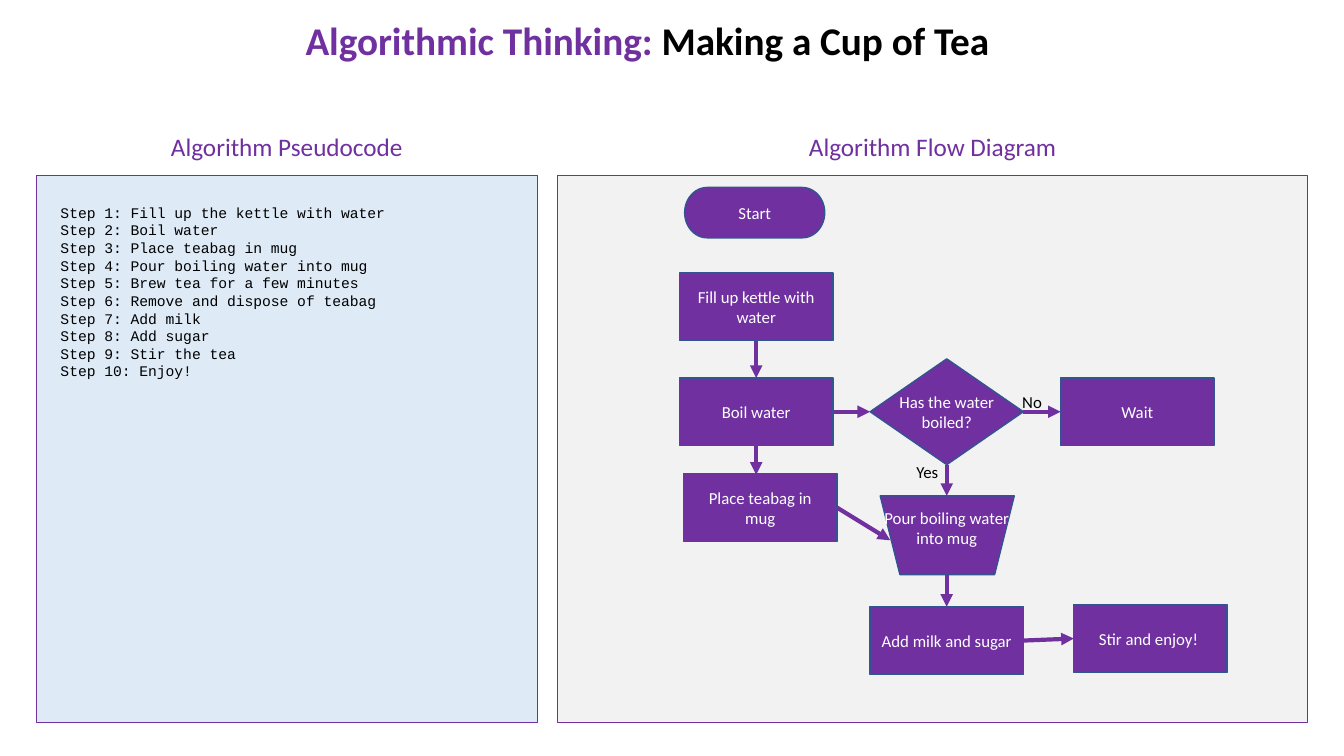
import pptx
import pptx.util
import pptx.dml.color
import pptx.enum.shapes
import pptx.enum.text
import pptx.oxml

Inches = pptx.util.Inches
Pt = pptx.util.Pt
SHAPE = pptx.enum.shapes.MSO_SHAPE
ALIGN = pptx.enum.text.PP_ALIGN
ANCHOR = pptx.enum.text.MSO_ANCHOR
NS = 'xmlns:a="http://schemas.openxmlformats.org/drawingml/2006/main"'
PURPLE, WHITE, BLACK = "7030A0", "FFFFFF", "000000"
TOP, LEFT, BOTTOM, RIGHT = range(4)

TITLE_FONT = {"name": "Calibri", "size": Pt(28), "bold": True}
HEADING_FONT = {"name": "Calibri", "size": Pt(18)}
LABEL_FONT = {"name": "Calibri", "size": Pt(12)}
CODE_FONT = {"name": "Courier New", "size": Pt(10.5)}

STEPS = [
    "Fill up the kettle with water", "Boil water", "Place teabag in mug",
    "Pour boiling water into mug", "Brew tea for a few minutes",
    "Remove and dispose of teabag", "Add milk", "Add sugar",
    "Stir the tea", "Enjoy!",
]

# Flow nodes: shape, offset and size within the diagram panel, text
PROCESS_SIZE = (1.52, 0.67)
NODES = {
    "start": (SHAPE.FLOWCHART_TERMINATOR, (1.26, 0.12), (1.39, 0.5), "Start"),
    "fill": (SHAPE.FLOWCHART_PROCESS, (1.21, 0.97), PROCESS_SIZE, "Fill up kettle with water"),
    "boil": (SHAPE.FLOWCHART_PROCESS, (1.21, 2.01), PROCESS_SIZE, "Boil water"),
    "boiled": (SHAPE.FLOWCHART_DECISION, (3.1, 1.82), (1.52, 1.05), ""),
    "wait": (SHAPE.FLOWCHART_PROCESS, (4.99, 2.01), PROCESS_SIZE, "Wait"),
    "teabag": (SHAPE.FLOWCHART_PROCESS, (1.25, 2.96), PROCESS_SIZE, "Place teabag in mug"),
    "pour": (SHAPE.TRAPEZOID, (3.2, 3.18), (1.33, 0.78), ""),
    "add": (SHAPE.FLOWCHART_PROCESS, (3.1, 4.28), PROCESS_SIZE, "Add milk and sugar "),
    "stir": (SHAPE.FLOWCHART_PROCESS, (5.12, 4.26), PROCESS_SIZE, "Stir and enjoy! "),
}
# Each end is a node with its side, or a point within the panel
ARROWS = [
    (("fill", BOTTOM), ("boil", TOP)),
    (("boil", RIGHT), ("boiled", LEFT)),
    (("boil", BOTTOM), (1.97, 2.97)),
    (("boiled", RIGHT), ("wait", LEFT)),
    (("boiled", BOTTOM), (3.86, 3.18)),
    (("teabag", RIGHT), (3.3, 3.62)),
    ((3.86, 3.96), ("add", TOP)),
    (("add", RIGHT), ("stir", LEFT)),
]
# Text, offset and size within the panel, colour, alignment
LABELS = [
    ("Has the water boiled?", (3.1, 2.1), (1.52, 0.5), WHITE, ALIGN.CENTER),
    ("Pour boiling water into mug", (3.1, 3.25), (1.52, 0.5), WHITE, ALIGN.CENTER),
    ("No", (4.51, 2.1), (0.42, 0.3), BLACK, ALIGN.LEFT),
    ("Yes", (3.46, 2.79), (0.53, 0.3), BLACK, ALIGN.LEFT),
]


def color(hex_value):
    return pptx.dml.color.RGBColor.from_string(hex_value)


def set_format(target, values):
    for name, value in values.items():
        setattr(target, name, value)


def place(part, box):
    set_format(part, dict(zip(("left", "top", "width", "height"), map(Inches, box))))


def paint(part, fill, line):
    part.fill.solid()
    part.fill.fore_color.rgb = color(fill)
    part.line.color.rgb = color(line)
    part.line.width = Pt(1)


def add_run(paragraph, text, font, hex_value):
    run = paragraph.add_run()
    run.text = text
    set_format(run.font, font)
    run.font.color.rgb = color(hex_value)


def add_label(slide, box, text, font, hex_value, alignment=ALIGN.CENTER):
    frame = slide.shapes.add_textbox(*map(Inches, box)).text_frame
    frame.word_wrap = True
    frame.paragraphs[0].alignment = alignment
    add_run(frame.paragraphs[0], text, font, hex_value)


def add_block(slide, kind, box, fill, line, text=""):
    block = slide.shapes.add_shape(kind, *map(Inches, box))
    block.shadow.inherit = False
    paint(block, fill, line)
    if text:
        frame = block.text_frame
        set_format(frame, {"word_wrap": True, "vertical_anchor": ANCHOR.MIDDLE})
        frame.paragraphs[0].alignment = ALIGN.CENTER
        add_run(frame.paragraphs[0], text, LABEL_FONT, WHITE)
    return block


def add_arrow(slide, nodes, begin, end, left, top):
    arrow = slide.shapes.add_connector(pptx.enum.shapes.MSO_CONNECTOR.STRAIGHT, 0, 0, 0, 0)
    for (first, second), name, join in ((begin, "begin", arrow.begin_connect),
                                        (end, "end", arrow.end_connect)):
        if first in nodes:
            join(nodes[first], second)
        else:
            set_format(arrow, {f"{name}_x": Inches(left + first),
                               f"{name}_y": Inches(top + second)})
    arrow.line.color.rgb = color(PURPLE)
    arrow.line.width = Pt(3)
    arrow.line._get_or_add_ln().append(
        pptx.oxml.parse_xml(f'<a:tailEnd {NS} type="triangle"/>'))
    arrow._element.spPr.append(pptx.oxml.parse_xml(f"<a:effectLst {NS}/>"))


def build_title(slide, box):
    title = slide.shapes.title
    place(title, box)
    frame = title.text_frame
    set_format(frame, {"word_wrap": True, "vertical_anchor": ANCHOR.MIDDLE})
    frame.paragraphs[0].alignment = ALIGN.CENTER
    add_run(frame.paragraphs[0], "Algorithmic Thinking: ", TITLE_FONT, PURPLE)
    add_run(frame.paragraphs[0], "Making a Cup of Tea", TITLE_FONT, BLACK)


def build_heading(slide, panel, text):
    left, top, width, _ = panel
    add_label(slide, (left + (width - 2.79) / 2, top - 0.49, 2.79, 0.4),
              text, HEADING_FONT, PURPLE)


def build_pseudocode(slide, panel):
    build_heading(slide, panel, "Algorithm Pseudocode")
    steps = slide.placeholders[1]
    place(steps, panel)
    paint(steps, "DEEBF7", PURPLE)
    frame = steps.text_frame
    set_format(frame, {"word_wrap": True, "vertical_anchor": ANCHOR.TOP,
                       "auto_size": pptx.enum.text.MSO_AUTO_SIZE.NONE,
                       "margin_left": Inches(0.24), "margin_top": Inches(0.28)})
    for number, step in enumerate(STEPS, 1):
        paragraph = frame.paragraphs[0] if number == 1 else frame.add_paragraph()
        properties = paragraph._p.get_or_add_pPr()
        properties.set("marL", "0")
        properties.set("indent", "0")
        properties.append(pptx.oxml.parse_xml(f"<a:buNone {NS}/>"))
        set_format(paragraph, {"space_before": Pt(0), "alignment": ALIGN.LEFT})
        add_run(paragraph, f"Step {number}: {step}", CODE_FONT, BLACK)


def build_flow_diagram(slide, panel):
    left, top = panel[:2]
    build_heading(slide, panel, "Algorithm Flow Diagram")
    add_block(slide, SHAPE.RECTANGLE, panel, "F2F2F2", PURPLE)
    nodes = {}
    for name, (kind, (x, y), size, text) in NODES.items():
        nodes[name] = add_block(slide, kind, (left + x, top + y, *size),
                                PURPLE, "325491", text)
    nodes["pour"].rotation = 180
    for begin, end in ARROWS:
        add_arrow(slide, nodes, begin, end, left, top)
    for text, (x, y), size, hex_value, alignment in LABELS:
        add_label(slide, (left + x, top + y, *size), text, LABEL_FONT, hex_value, alignment)


def main():
    deck = pptx.Presentation()
    set_format(deck, {"slide_width": Inches(13.33), "slide_height": Inches(7.5)})
    slide = deck.slides.add_slide(deck.slide_layouts[1])
    build_title(slide, (0.92, 0.11, 11, 0.57))
    build_pseudocode(slide, (0.36, 1.74, 4.97, 5.43))
    build_flow_diagram(slide, (5.53, 1.74, 7.44, 5.43))
    deck.save("out.pptx")


if __name__ == "__main__":
    main()
